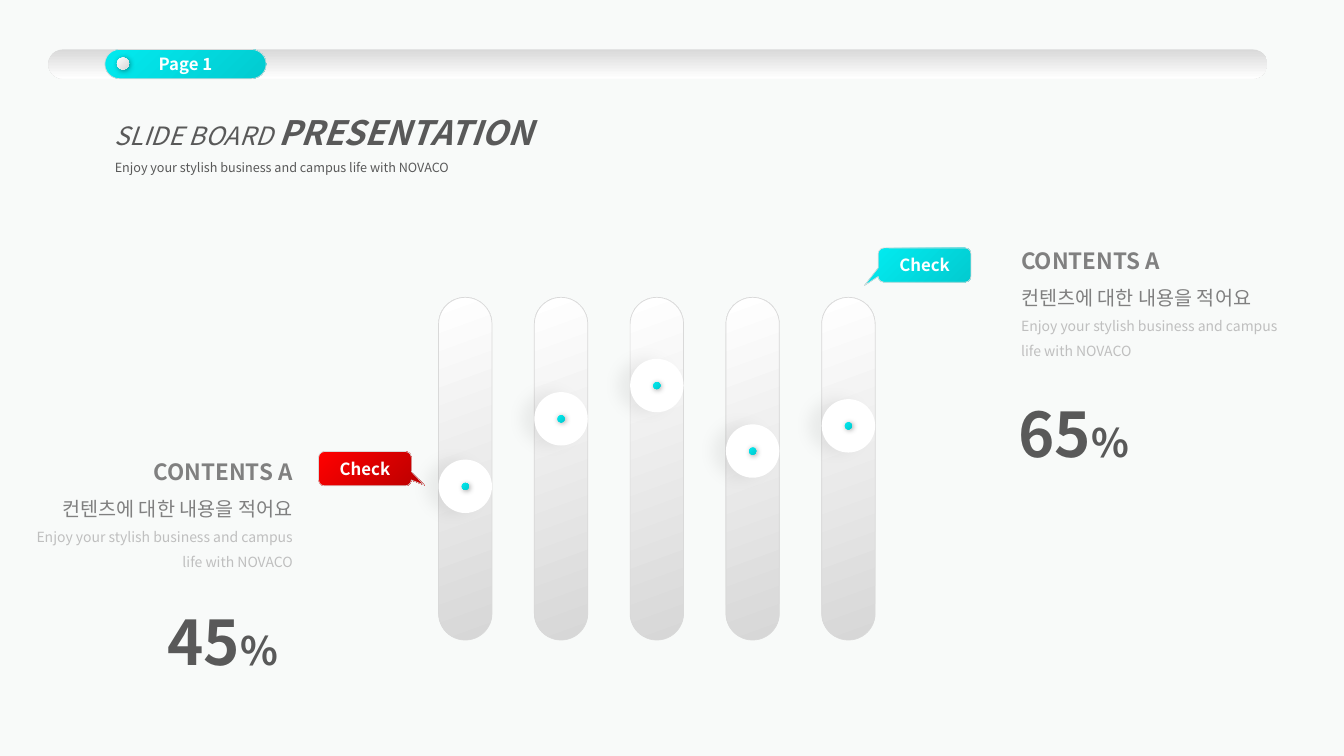
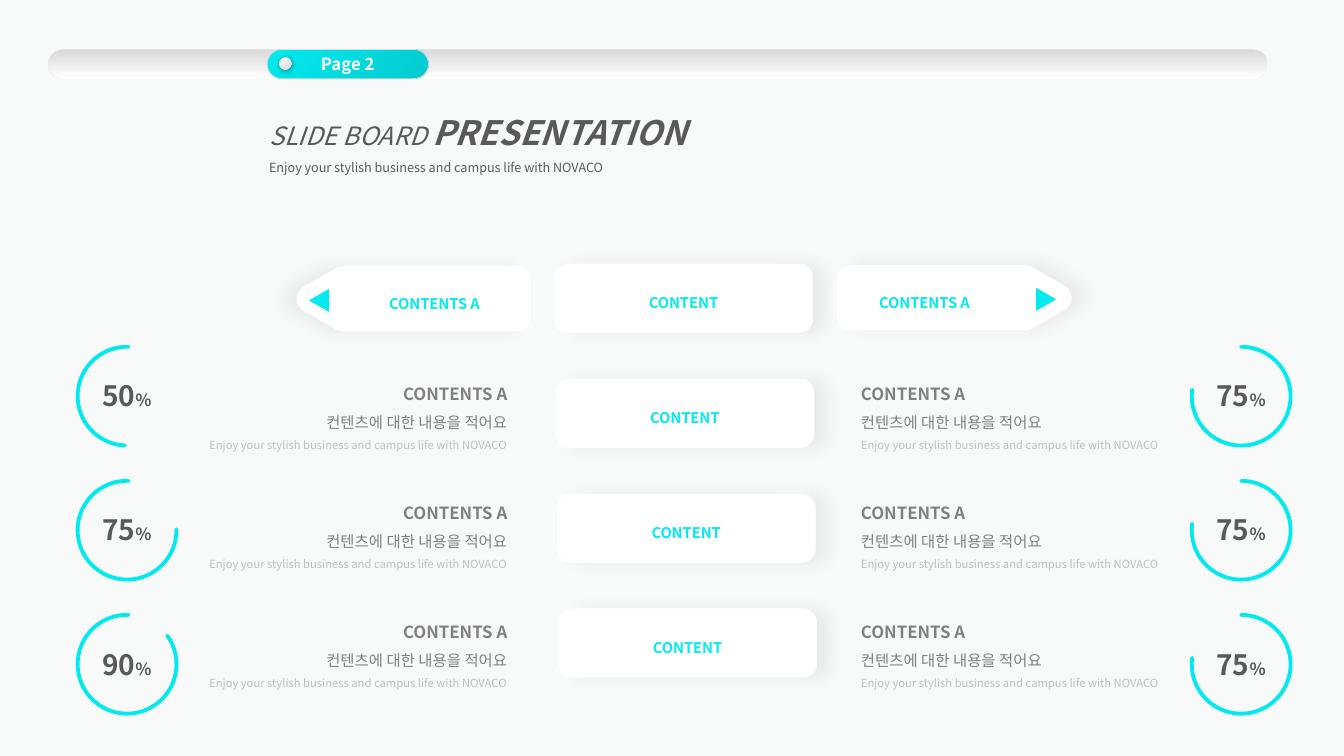
from dataclasses import dataclass

from lxml.etree import SubElement
from pptx import Presentation
from pptx.dml.color import RGBColor
from pptx.enum.shapes import MSO_SHAPE
from pptx.enum.text import MSO_ANCHOR, MSO_AUTO_SIZE, PP_ALIGN
from pptx.oxml.ns import qn
from pptx.util import Inches, Pt


@dataclass(frozen=True)
class TextStyle:
    size: float
    color: str
    bold: bool = False
    italic: bool = False


@dataclass(frozen=True)
class Gradient:
    """Two colours; without an angle the first one spreads from the bottom right corner."""
    start: str
    end: str
    angle: int | None = None


@dataclass(frozen=True)
class Shadow:
    alpha: int
    blur: float
    distance: float
    direction: int


@dataclass(frozen=True)
class Line:
    color: str
    width: float


class Theme:
    FONT = "Noto Sans CJK KR"
    BACKGROUND = "F8FAF9"
    WHITE = "FFFFFF"
    CYAN = "02EAEF"
    DARK = "595959"
    GRAY = "808080"
    PALE = "BFBFBF"

    BAND = Gradient("D9D9D9", WHITE, 90)
    TRACK = Gradient("D7D7D7", WHITE, 250)
    PEARL = Gradient("D7D7D7", WHITE)
    ACCENT = Gradient("02CBD0", CYAN)
    ALERT = Gradient("C00000", "FF0000")

    THIN = Line("D9D9D9", 0.5)
    CARD_EDGE = Line(WHITE, 0.5)
    ARROW_EDGE = Line(WHITE, 20)
    RING = Line(CYAN, 2.75)
    DOT_SHADOW = Shadow(40, 4, 1, 45)

    TITLE_LIGHT = TextStyle(18, DARK, italic=True)
    TITLE_STRONG = TextStyle(24, DARK, bold=True, italic=True)
    SUBTITLE = TextStyle(9, DARK)
    LABEL = TextStyle(12, WHITE, bold=True)
    CARD = TextStyle(10.5, CYAN, bold=True)
    LARGE_BLOCK = (TextStyle(16, GRAY, bold=True), TextStyle(14, GRAY), TextStyle(10, PALE))
    SMALL_BLOCK = (TextStyle(12, GRAY, bold=True), TextStyle(11, GRAY), TextStyle(8, PALE))
    LARGE_PERCENT = (TextStyle(44, DARK, bold=True), TextStyle(28, DARK, bold=True))
    SMALL_PERCENT = (TextStyle(20, DARK, bold=True), TextStyle(12, DARK, bold=True))

    @staticmethod
    def soft_shadow(direction):
        return Shadow(5, 11, 9, direction)


TAGLINE = "Enjoy your stylish business and campus life with NOVACO"
BLOCK_LINES = ("CONTENTS A", "컨텐츠에 대한 내용을 적어요", TAGLINE)


def rgb(color):
    return RGBColor.from_string(color)


class Deck:
    def __init__(self):
        self.presentation = Presentation()
        self.presentation.slide_width = Inches(13.33)
        self.presentation.slide_height = Inches(7.5)
        self.slide = None

    def new_page(self, number):
        """Add a slide with the band, the page tab and the title."""
        blank = self.presentation.slide_layouts[6]
        self.slide = self.presentation.slides.add_slide(blank)
        background = self.slide.background.fill
        background.solid()
        background.fore_color.rgb = rgb(Theme.BACKGROUND)

        self.shape(MSO_SHAPE.ROUNDED_RECTANGLE, (0.48, 0.49, 12.09, 0.29), Theme.BAND, adjust=[0.5])
        tab_left = 1.04 + 1.61 * (number - 1)
        tab_group = self.group()
        tab = self.shape(MSO_SHAPE.ROUNDED_RECTANGLE, (tab_left, 0.49, 1.6, 0.29), Theme.ACCENT,
                         Theme.THIN, adjust=[0.5], into=tab_group)
        self.set_text(tab, [[(f"Page {number}", Theme.LABEL)]], PP_ALIGN.CENTER)
        self.shape(MSO_SHAPE.ROUNDED_RECTANGLE, (tab_left + 0.12, 0.57, 0.12, 0.12), Theme.PEARL,
                   shadow=Theme.DOT_SHADOW, adjust=[0.5], into=tab_group)
        title = [("SLIDE BOARD ", Theme.TITLE_LIGHT), ("PRESENTATION", Theme.TITLE_STRONG)]
        self.text((1.04 + 1.53 * (number - 1), 0.86, 4.78, 0.93),
                  [title, [(TAGLINE, Theme.SUBTITLE)]], spacing=1.5)

    def group(self):
        return self.slide.shapes.add_group_shape().shapes

    def shape(self, kind, box, fill=None, line=None, shadow=None, adjust=(), into=None):
        shapes = self.slide.shapes if into is None else into
        shape = shapes.add_shape(kind, *map(Inches, box))
        for index, value in enumerate(adjust):
            shape.adjustments[index] = value
        self.paint(shape, fill)
        self.outline(shape, line)
        self.cast(shape, shadow)
        return shape

    def paint(self, shape, fill):
        if fill is None:
            shape.fill.background()
        elif isinstance(fill, str):
            shape.fill.solid()
            shape.fill.fore_color.rgb = rgb(fill)
        else:
            shape.fill.gradient()
            for stop, color in zip(shape.fill.gradient_stops, (fill.start, fill.end)):
                stop.color.rgb = rgb(color)
            if fill.angle is not None:
                shape.fill.gradient_angle = 360 - fill.angle
            else:
                gradient = shape._element.spPr.find(qn("a:gradFill"))
                gradient.remove(gradient.find(qn("a:lin")))
                circle = SubElement(gradient, qn("a:path"), {"path": "circle"})
                SubElement(circle, qn("a:fillToRect"), l="100000", t="100000")

    def outline(self, shape, line):
        if line is None:
            shape.line.fill.background()
            return
        shape.line.color.rgb = rgb(line.color)
        shape.line.width = Pt(line.width)
        stroke = shape._element.spPr.find(qn("a:ln"))
        stroke.set("cap", "rnd")
        SubElement(stroke, qn("a:round"))

    def cast(self, shape, shadow):
        shape.shadow.inherit = False
        if shadow is None:
            return
        effects = shape._element.spPr.find(qn("a:effectLst"))
        outer = SubElement(effects, qn("a:outerShdw"), blurRad=str(Pt(shadow.blur)),
                           dist=str(Pt(shadow.distance)), dir=str(shadow.direction * 60000),
                           algn="ctr", rotWithShape="0")
        color = SubElement(outer, qn("a:srgbClr"), val="000000")
        SubElement(color, qn("a:alpha"), val=str(shadow.alpha * 1000))

    def text(self, box, paragraphs, align=PP_ALIGN.LEFT, spacing=None, wrap=True):
        text_box = self.slide.shapes.add_textbox(*map(Inches, box))
        text_box.text_frame.word_wrap = wrap
        text_box.text_frame.auto_size = MSO_AUTO_SIZE.SHAPE_TO_FIT_TEXT
        self.set_text(text_box, paragraphs, align, spacing, MSO_ANCHOR.TOP)

    def set_text(self, shape, paragraphs, align, spacing=None, anchor=MSO_ANCHOR.MIDDLE):
        """Fill a shape with paragraphs, each a list of (wording, style) pairs."""
        frame = shape.text_frame
        frame.vertical_anchor = anchor
        frame.text = "\n".join("" for _ in paragraphs)
        for paragraph, pieces in zip(frame.paragraphs, paragraphs):
            paragraph.alignment = align
            if spacing:
                paragraph.line_spacing = spacing
            for wording, style in pieces:
                run = paragraph.add_run()
                run.text = wording
                font = run.font
                font.size = Pt(style.size)
                font.bold = style.bold
                font.italic = style.italic
                font.color.rgb = rgb(style.color)
                font.name = Theme.FONT
                SubElement(run._r.rPr, qn("a:ea"), typeface=Theme.FONT)

    def content_block(self, box, styles, align):
        self.text(box, [[piece] for piece in zip(BLOCK_LINES, styles)], align, 1.5)

    def percent(self, box, value, styles):
        self.text(box, [list(zip((str(value), "%"), styles))], PP_ALIGN.CENTER)

    def slider(self, left, knob_top):
        """Draw a vertical track with a round knob on it."""
        self.shape(MSO_SHAPE.ROUNDED_RECTANGLE, (left, 2.95, 0.53, 3.4), Theme.TRACK,
                   Theme.THIN, adjust=[0.5])
        knob = self.group()
        self.shape(MSO_SHAPE.OVAL, (left, knob_top, 0.53, 0.53), Theme.WHITE,
                   shadow=Theme.soft_shadow(180), into=knob)
        self.shape(MSO_SHAPE.ROUNDED_RECTANGLE, (left + 0.23, knob_top + 0.23, 0.07, 0.07),
                   Theme.ACCENT, shadow=Theme.DOT_SHADOW, adjust=[0.5], into=knob)

    def callout(self, left, top, fill, tip):
        bubble = self.shape(MSO_SHAPE.ROUNDED_RECTANGULAR_CALLOUT, (left, top, 0.92, 0.34), fill,
                            Theme.THIN, adjust=[*tip, 0.17])
        self.set_text(bubble, [[("Check", Theme.LABEL)]], PP_ALIGN.CENTER)

    def card(self, left, top):
        card = self.shape(MSO_SHAPE.ROUNDED_RECTANGLE, (left, top, 2.56, 0.68), Theme.WHITE,
                          Theme.CARD_EDGE, Theme.soft_shadow(0), [0.2])
        self.set_text(card, [[("CONTENT", Theme.CARD)]], PP_ALIGN.CENTER, 1.5)

    def arrow_card(self, left, top, label_left, tip_left, points_left):
        arrow = self.shape(MSO_SHAPE.PENTAGON, (left, top, 2.05, 0.37), Theme.WHITE,
                           Theme.ARROW_EDGE, Theme.soft_shadow(180 if points_left else 350), [0.88])
        if points_left:
            arrow._element.spPr.find(qn("a:xfrm")).set("flipH", "1")
        self.text((label_left, top + 0.01, 1.14, 0.33), [[("CONTENTS A", Theme.CARD)]],
                  PP_ALIGN.CENTER, 1.5, wrap=False)
        tip = self.shape(MSO_SHAPE.ISOSCELES_TRIANGLE, (tip_left, top + 0.1, 0.23, 0.2), Theme.CYAN)
        tip.rotation = 270 if points_left else 90

    def ring(self, left, top, value, start, end):
        """Draw an arc from start to end, in degrees clockwise, around a percentage."""
        self.percent((left + 0.06, top + 0.27, 0.86, 0.44), value, Theme.SMALL_PERCENT)
        self.shape(MSO_SHAPE.ARC, (left, top, 0.98, 0.98), line=Theme.RING,
                   adjust=[start * 0.6, end * 0.6])


def build_sliders(deck):
    deck.new_page(1)
    for column, knob_top in enumerate((4.56, 3.89, 3.56, 4.21, 3.96)):
        deck.slider(4.35 + 0.95 * column, knob_top)

    deck.content_block((10.03, 2.27, 2.82, 1.36), Theme.LARGE_BLOCK, PP_ALIGN.LEFT)
    deck.callout(8.71, 2.46, Theme.ACCENT, (-0.65, 0.6))
    deck.percent((9.86, 3.88, 1.58, 0.84), 65, Theme.LARGE_PERCENT)

    deck.callout(3.16, 4.48, Theme.ALERT, (0.64, 0.48))
    deck.content_block((0.18, 4.36, 2.82, 1.36), Theme.LARGE_BLOCK, PP_ALIGN.RIGHT)
    deck.percent((1.42, 5.94, 1.58, 0.84), 45, Theme.LARGE_PERCENT)


def build_cards(deck):
    deck.new_page(2)
    for row in range(4):
        deck.card(5.5 + 0.04 * row / 3, 2.62 + 1.14 * row)
    deck.arrow_card(3.08, 2.78, 3.74, 3.05, points_left=True)
    deck.arrow_card(8.44, 2.77, 8.6, 10.26, points_left=False)

    left_rings = ((50, 92.4, 271.8), (75, 359.05, 271.8), (90, 324.56, 271.8))
    for row, left_ring in enumerate(left_rings):
        block_top = 3.66 + 1.18 * row
        ring_top = 3.44 + 1.33 * row
        deck.content_block((1.75, block_top, 3.38, 0.88), Theme.SMALL_BLOCK, PP_ALIGN.RIGHT)
        deck.content_block((8.44, block_top, 3.38, 0.88), Theme.SMALL_BLOCK, PP_ALIGN.LEFT)
        deck.ring(0.77, ring_top, *left_ring)
        deck.ring(11.82, ring_top, 75, 270, 187.54)


def main():
    deck = Deck()
    build_sliders(deck)
    build_cards(deck)
    deck.presentation.save("out.pptx")


if __name__ == "__main__":
    main()
